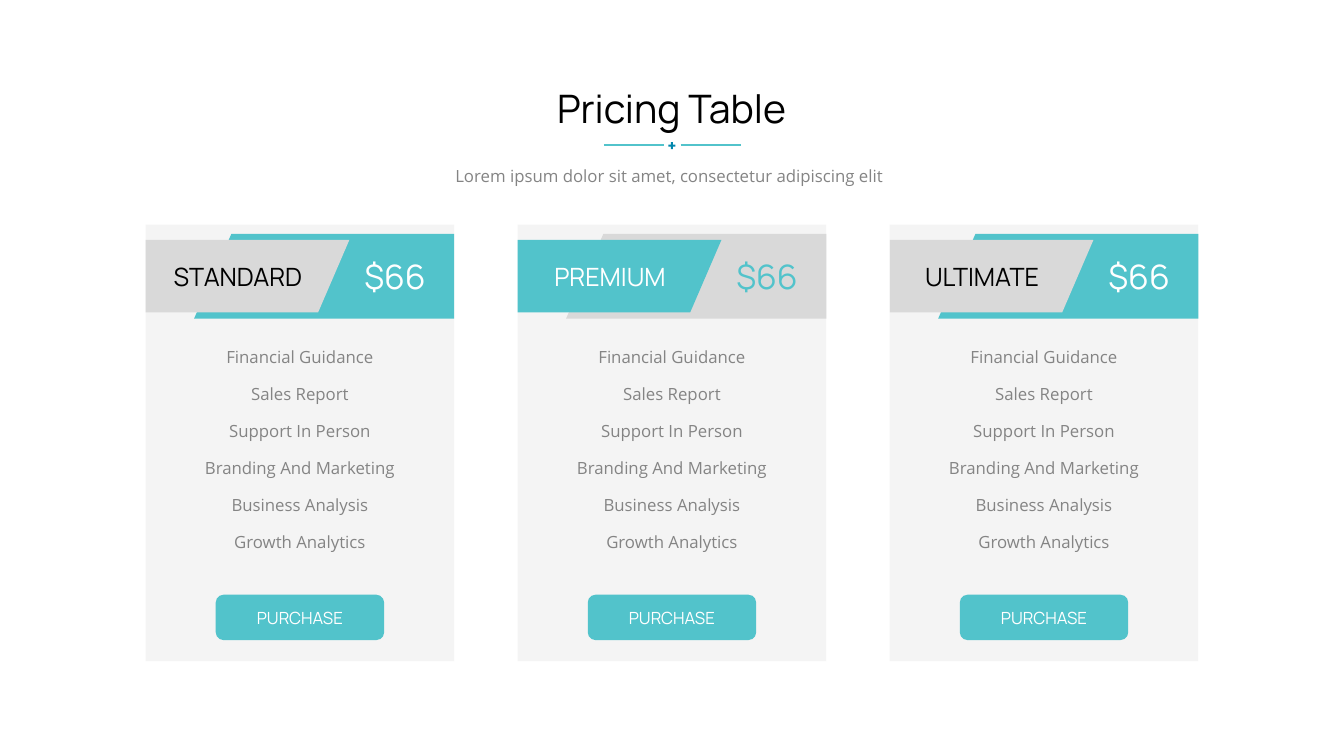
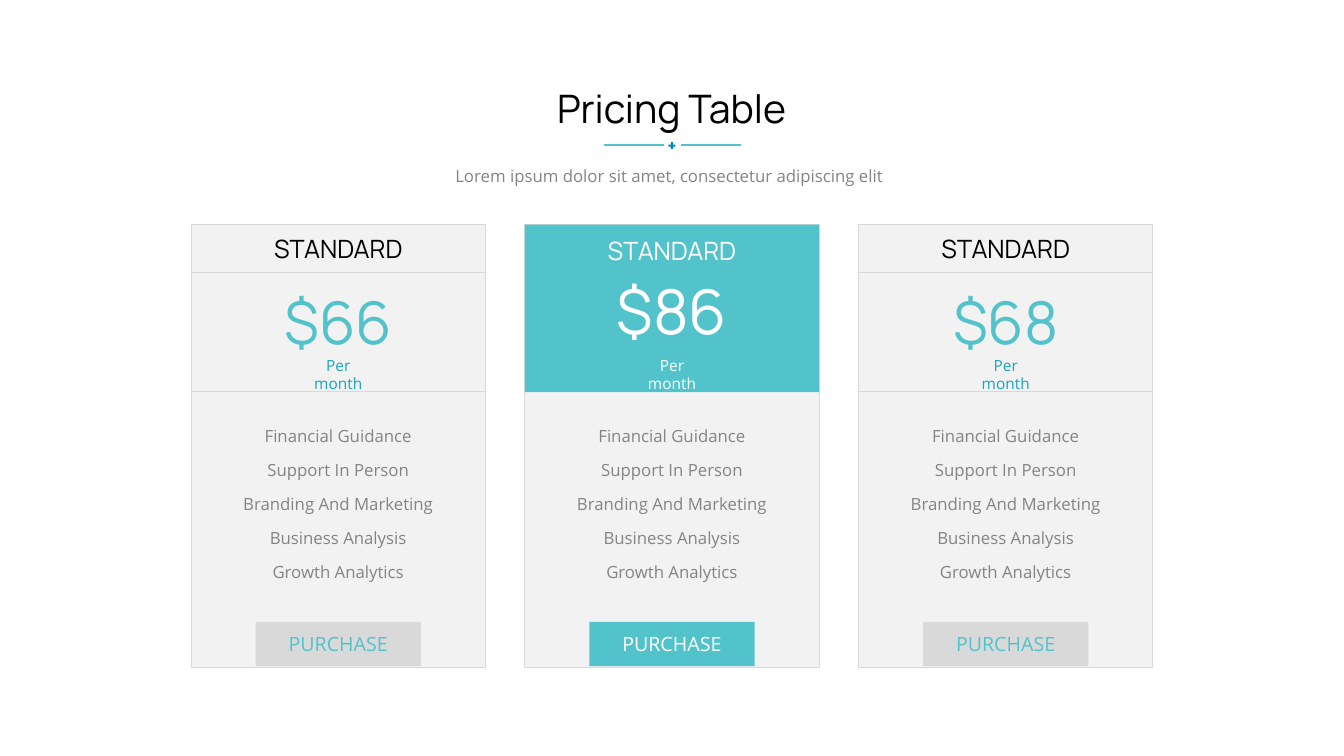
from dataclasses import dataclass, replace

from lxml import etree
from pptx import Presentation
from pptx import util as u
from pptx.dml.color import RGBColor
from pptx.enum import shapes, text
from pptx.oxml.ns import qn

Inches, Pt = u.Inches, u.Pt
ALIGN, ANCHOR, SHAPE = text.PP_ALIGN, text.MSO_ANCHOR, shapes.MSO_SHAPE
SLIDE_W, SLIDE_H = 13.33, 7.5
CARD_TOP = 2.23


# Theme: colours and type styles
@dataclass(frozen=True)
class TextStyle:
    font: str
    size: float
    color: str


@dataclass(frozen=True)
class Theme:
    teal: str = "52C3CB"
    deep_teal: str = "1AA4BE"
    blue: str = "0187AD"
    panel: str = "F2F2F2"
    grey: str = "D9D9D9"
    black: str = "000000"
    white: str = "FFFFFF"
    title: TextStyle = TextStyle("Manrope", 28, "000000")
    body: TextStyle = TextStyle("Open Sans", 12, "848484")
    plan: TextStyle = TextStyle("Manrope", 18, "000000")
    tab_price: TextStyle = TextStyle("Manrope", 24, "FFFFFF")
    price: TextStyle = TextStyle("Manrope", 42, "52C3CB")
    big_price: TextStyle = TextStyle("Manrope", 44, "FFFFFF")
    period: TextStyle = TextStyle("Open Sans", 11, "1AA4BE")
    tab_button: TextStyle = TextStyle("Manrope", 12, "FFFFFF")
    button: TextStyle = TextStyle("Open Sans", 14, "52C3CB")


THEME = Theme()


@dataclass(frozen=True)
class Box:
    left: float
    top: float
    width: float
    height: float

    def lengths(self) -> tuple:
        return tuple(Inches(v) for v in (self.left, self.top, self.width, self.height))

    def inner(self, top: float, width: float, height: float) -> "Box":
        """A box centred across this one."""
        return Box(self.left + (self.width - width) / 2, top, width, height)


@dataclass(frozen=True)
class Plan:
    name: str
    price: str
    featured: bool = False


TAB_PLANS = [Plan("STANDARD", "$66"), Plan("PREMIUM", "$66", True), Plan("ULTIMATE", "$66")]
MONTHLY_PLANS = [Plan("STANDARD", "$66"), Plan("STANDARD", "$86", True), Plan("STANDARD", "$68")]
FEATURES = ["Financial Guidance", "Sales Report", "Support In Person",
            "Branding And Marketing", "Business Analysis", "Growth Analytics"]
MONTHLY_FEATURES = [f for f in FEATURES if f != "Sales Report"]


# Drawing helpers
def set_text(tf, content: str, style: TextStyle, align=ALIGN.CENTER, wrap: bool = True,
             anchor=ANCHOR.TOP, gap: float = 0, line_spacing: float = 1.0) -> None:
    tf.text = content
    tf.word_wrap = wrap
    tf.auto_size = text.MSO_AUTO_SIZE.NONE
    tf.vertical_anchor = anchor
    for i, p in enumerate(tf.paragraphs):
        p.alignment = align
        p.line_spacing = line_spacing
        p.space_before = Pt(gap if i else 0)
        for r in p.runs:
            r.font.name, r.font.size, r.font.bold = style.font, Pt(style.size), False
            r.font.color.rgb = RGBColor.from_string(style.color)


def add_text(s, box: Box, content: str, style: TextStyle, **options) -> None:
    set_text(s.shapes.add_textbox(*box.lengths()).text_frame, content, style, **options)


def fill_placeholder(ph, box: Box, content: str, style: TextStyle, **options) -> None:
    ph.left, ph.top, ph.width, ph.height = box.lengths()
    set_text(ph.text_frame, content, style, **options)
    for p in ph.text_frame.paragraphs:
        pPr = p._p.get_or_add_pPr()
        pPr.set("marL", "0")
        pPr.set("indent", "0")
        etree.SubElement(pPr, qn("a:buNone"))
    # Bring the placeholder in front of the panels drawn so far
    ph.element.getparent().append(ph.element)


def paint(sp, fill: str, line: str | None = None) -> None:
    sp.shadow.inherit = False
    sp.fill.solid()
    sp.fill.fore_color.rgb = RGBColor.from_string(fill)
    if line:
        sp.line.color.rgb = RGBColor.from_string(line)
        sp.line.width = Pt(0.75)
    else:
        sp.line.fill.background()


def add_shape(s, box: Box, fill: str, line: str | None = None, kind=SHAPE.RECTANGLE):
    sp = s.shapes.add_shape(kind, *box.lengths())
    paint(sp, fill, line)
    return sp


def add_polygon(s, points: list[tuple[float, float]], fill: str) -> None:
    start, *rest = [(Inches(x), Inches(y)) for x, y in points]
    builder = s.shapes.build_freeform(*start)
    builder.add_line_segments(rest, close=True)
    paint(builder.convert_to_shape(), fill)


def add_rule(s, left: float, right: float, y: float, color: str, width: float) -> None:
    line = s.shapes.add_connector(shapes.MSO_CONNECTOR.STRAIGHT,
                                  Inches(left), Inches(y), Inches(right), Inches(y))
    line.line.color.rgb = RGBColor.from_string(color)
    line.line.width = Pt(width)
    etree.SubElement(line.element.spPr, qn("a:effectLst"))


def set_alpha(sp, percent: int) -> None:
    color = sp.element.spPr.find(qn("a:solidFill")).find(qn("a:srgbClr"))
    etree.SubElement(color, qn("a:alpha")).set("val", str(percent * 1000))


def columns(count: int, width: float, gap: float, height: float) -> list[Box]:
    left = (SLIDE_W - count * width - (count - 1) * gap) / 2
    return [Box(left + i * (width + gap), CARD_TOP, width, height) for i in range(count)]


# Heading shared by the slides
def add_pricing_slide(prs):
    s = prs.slides.add_slide(prs.slide_layouts[4])
    fill_placeholder(s.shapes.title, Box(4.27, 0.79, 4.78, 0.57), "Pricing Table", THEME.title)
    fill_placeholder(s.placeholders[1], Box(3.2, 1.53, 6.88, 0.34),
                     "Lorem ipsum dolor sit amet, consectetur adipiscing elit",
                     THEME.body, line_spacing=1.3)
    for left in (5.99, 6.75):
        add_rule(s, left, left + 0.6, 1.44, THEME.teal, 1.5)
    plus = add_shape(s, Box(6.63, 1.41, 0.07, 0.07), THEME.blue, kind=SHAPE.CROSS)
    plus.adjustments[0] = 0.35
    return s


# Card with a slanted plan tab over a price band
def draw_tab_card(s, card: Box, plan: Plan, features) -> None:
    tab, band = (THEME.teal, THEME.grey) if plan.featured else (THEME.grey, THEME.teal)
    name_color = THEME.white if plan.featured else THEME.black
    price_color = THEME.teal if plan.featured else THEME.white
    x, right = card.left, card.left + card.width

    set_alpha(add_shape(s, card, THEME.panel), 80)
    add_polygon(s, [(x + 0.85, 2.32), (right, 2.32), (right, 3.16), (x + 0.48, 3.16)], band)
    add_polygon(s, [(x, 2.38), (x + 2.02, 2.38), (x + 1.71, 3.1), (x, 3.1)], tab)
    add_text(s, Box(x + 0.13, 2.54, 1.57, 0.4), plan.name,
             replace(THEME.plan, color=name_color), wrap=False)
    add_text(s, Box(x + 2.07, 2.49, 0.82, 0.5), plan.price,
             replace(THEME.tab_price, color=price_color), align=ALIGN.LEFT, wrap=False)
    fill_placeholder(features, card.inner(3.39, 2.15, 2.27), "\n".join(FEATURES),
                     THEME.body, gap=12)
    button = add_shape(s, card.inner(5.9, 1.67, 0.45), THEME.teal, kind=SHAPE.ROUNDED_RECTANGLE)
    button.adjustments[0] = 0.17
    set_text(button.text_frame, "PURCHASE", THEME.tab_button, anchor=ANCHOR.MIDDLE)


# Card with a monthly price in its header
def draw_monthly_card(s, card: Box, plan: Plan, features) -> None:
    right = card.left + card.width
    add_shape(s, card, THEME.panel, THEME.grey)
    add_rule(s, card.left, right, 3.88, THEME.grey, 0.75)
    if plan.featured:
        add_shape(s, replace(card, height=1.66), THEME.teal)
        name, period, button_text = (replace(style, color=THEME.white)
                                     for style in (THEME.plan, THEME.period, THEME.button))
        price, button_fill, name_top, price_top = THEME.big_price, THEME.teal, 2.29, 2.66
    else:
        add_rule(s, card.left, right, 2.7, THEME.grey, 0.75)
        name, period, button_text = THEME.plan, THEME.period, THEME.button
        price, button_fill, name_top, price_top = THEME.price, THEME.grey, 2.27, 2.79

    add_text(s, card.inner(name_top, 1.57, 0.4), plan.name, name, wrap=False)
    add_text(s, card.inner(price_top, 1.34, 0.84), plan.price, price, wrap=False)
    add_text(s, card.inner(3.48, 0.89, 0.29), "Per month", period)
    fill_placeholder(features, card.inner(4.17, 2.15, 1.76), "\n".join(MONTHLY_FEATURES),
                     THEME.body, gap=10)
    button = add_shape(s, card.inner(6.17, 1.64, 0.44), button_fill)
    set_text(button.text_frame, "PURCHASE", button_text, anchor=ANCHOR.MIDDLE)


def main() -> None:
    prs = Presentation()
    prs.slide_width, prs.slide_height = Inches(SLIDE_W), Inches(SLIDE_H)
    decks = [(TAB_PLANS, columns(3, 3.06, 0.63, 4.33), draw_tab_card),
             (MONTHLY_PLANS, columns(3, 2.92, 0.39, 4.39), draw_monthly_card)]
    for plans, cards, draw_card in decks:
        s = add_pricing_slide(prs)
        # Body placeholders 2 to 4 hold the feature lists
        for idx, (plan, card) in enumerate(zip(plans, cards), start=2):
            draw_card(s, card, plan, s.placeholders[idx])
    prs.save("out.pptx")


if __name__ == "__main__":
    main()
